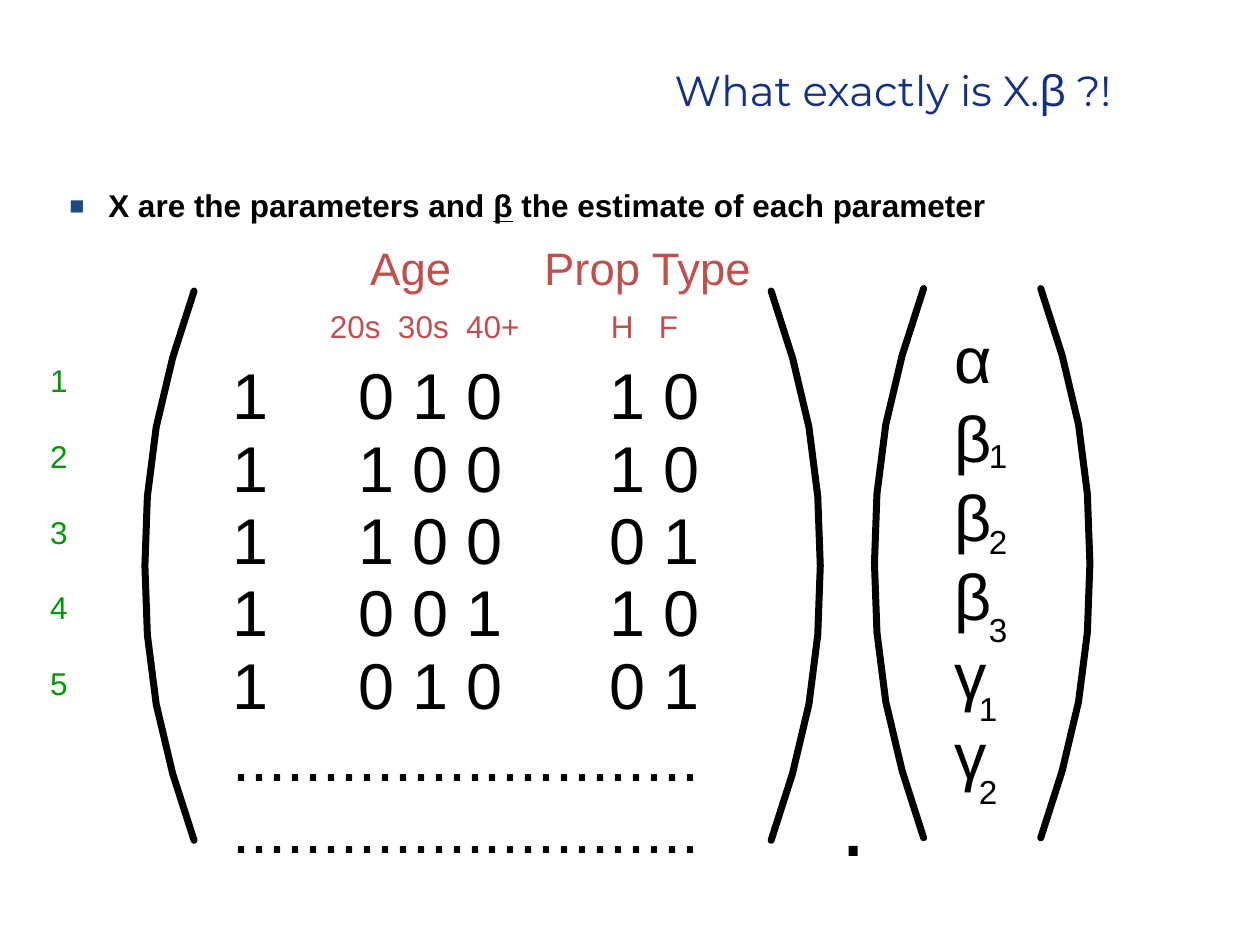
from dataclasses import dataclass

from lxml.etree import SubElement
from pptx import Presentation
from pptx.dml.color import RGBColor
from pptx.enum.shapes import MSO_SHAPE
from pptx.enum.text import MSO_ANCHOR, MSO_AUTO_SIZE, PP_ALIGN
from pptx.oxml.ns import qn
from pptx.util import Inches, Pt


@dataclass(frozen=True)
class Theme:
    font: str = "Arial"
    title_font: str = "Montserrat"
    title: str = "103184"
    ink: str = "000000"
    paper: str = "FFFFFF"
    bullet: str = "1F497D"
    heading: str = "C0504D"
    row_label: str = "009900"
    title_size: int = 24
    body_size: int = 18
    heading_size: int = 26
    entry_size: int = 37
    index_size: int = 19
    dot_size: int = 54
    bracket_width: int = 4


THEME = Theme()
ROWS = [("1", "0 1 0", "1 0"), ("1", "1 0 0", "1 0"), ("1", "1 0 0", "0 1"),
        ("1", "0 0 1", "1 0"), ("1", "0 1 0", "0 1")]
COLUMNS = [(0.6, 0.5), (1.6, 1.36), (3.59, 0.93)]  # offset, width
# Symbol, index, and index offset from the symbol
COEFFICIENTS = [("α", "", 0, 0), ("β", "1", 0.27, 0.3), ("β", "2", 0.27, 0.35),
                ("β", "3", 0.27, 0.42), ("γ", "1", 0.19, 0.42), ("γ", "2", 0.19, 0.45)]
# Distance of the bracket's points from its bulging side, and down from its top
BRACKET = [(0.39, 0), (0.22, 0.53), (0.09, 1.08), (0.02, 1.63), (0, 2.18),
           (0.02, 2.73), (0.09, 3.28), (0.22, 3.83), (0.39, 4.36)]


def style(font, size, color, name=THEME.font):
    font.size, font.name = Pt(size), name
    font.color.rgb = RGBColor.from_string(color)


def add_label(page, text, left, top, width, height, size, color=THEME.ink, tab_step=0):
    box = page.shapes.add_textbox(*map(Inches, (left, top, width, height)))
    frame = box.text_frame
    frame.word_wrap = False
    frame.auto_size = MSO_AUTO_SIZE.SHAPE_TO_FIT_TEXT
    frame.text = text
    para = frame.paragraphs[0]
    if tab_step:
        tabs = SubElement(para._p.get_or_add_pPr(), qn("a:tabLst"))
        for stop in range(1, text.count("\t") + 1):
            SubElement(tabs, qn("a:tab"), pos=str(Inches(tab_step * stop)), algn="l")
    for span in para.runs:
        style(span.font, size, color)


def add_bracket(page, left, top, opening):
    width = BRACKET[0][0]
    points = [(Inches(left + (x if opening else width - x)), Inches(top + y))
              for x, y in BRACKET]
    builder = page.shapes.build_freeform(*points[0])
    builder.add_line_segments(points[1:], close=False)
    bracket = builder.convert_to_shape()
    bracket.shadow.inherit = False
    bracket.fill.background()
    bracket.line.width = Pt(THEME.bracket_width)
    bracket.line.color.rgb = RGBColor.from_string(THEME.ink)
    line = bracket.line._get_or_add_ln()
    line.set("cap", "rnd")
    SubElement(line, qn("a:round"))


def add_title(page, left, top, width, height):
    title = page.shapes.title
    title.left, title.top, title.width, title.height = map(Inches, (left, top, width, height))
    title.text_frame.text = "What exactly is X.β ?!"
    title.text_frame.vertical_anchor = MSO_ANCHOR.MIDDLE
    para = title.text_frame.paragraphs[0]
    para.alignment = PP_ALIGN.RIGHT
    style(para.runs[0].font, THEME.title_size, THEME.title, THEME.title_font)


def add_statement(page, left, top, width, height):
    box = page.shapes.add_shape(MSO_SHAPE.RECTANGLE, *map(Inches, (left, top, width, height)))
    box.shadow.inherit = False
    box.fill.solid()
    box.fill.fore_color.rgb = RGBColor.from_string(THEME.paper)
    box.line.fill.background()
    frame = box.text_frame
    frame.word_wrap = True
    frame.vertical_anchor = MSO_ANCHOR.TOP
    frame.margin_left = frame.margin_right = frame.margin_top = frame.margin_bottom = 0
    para = frame.paragraphs[0]
    para.alignment = PP_ALIGN.LEFT
    # Square bullet with a hanging indent
    props = para._p.get_or_add_pPr()
    props.set("marL", str(Inches(0.31)))
    props.set("indent", str(-Inches(0.31)))
    SubElement(SubElement(props, qn("a:buClr")), qn("a:srgbClr"), val=THEME.bullet)
    SubElement(props, qn("a:buSzPct"), val="80000")
    SubElement(props, qn("a:buFont"), typeface=THEME.font)
    SubElement(props, qn("a:buChar"), char="■")
    for text in ("X are the parameters and ", "β", " the estimate of each parameter"):
        span = para.add_run()
        span.text = text
        style(span.font, THEME.body_size, THEME.ink)
        span.font.bold = True
        span.font.underline = text == "β"


def add_design_matrix(page, left, top, width):
    add_bracket(page, left, top, True)
    add_bracket(page, left + width - BRACKET[0][0], top, False)
    # Column headings
    add_label(page, "Age", left + 1.69, top - 0.45, 1.13, 0.46,
              THEME.heading_size, THEME.heading)
    add_label(page, "Prop Type", left + 3.07, top - 0.45, 2.27, 0.54,
              THEME.heading_size, THEME.heading)
    add_label(page, "20s\t30s\t40+", left + 1.37, top + 0.08, 1.85, 0.34,
              THEME.body_size, THEME.heading, 0.54)
    add_label(page, "H\tF", left + 3.6, top + 0.08, 0.99, 0.4,
              THEME.body_size, THEME.heading, 0.38)
    # Numbered rows
    first, pitch = top + 0.46, 0.574
    for index, row in enumerate(ROWS):
        add_label(page, str(index + 1), left - 0.85, top + 0.51 + 0.6 * index, 0.38, 0.43,
                  THEME.body_size, THEME.row_label)
        for text, (offset, span) in zip(row, COLUMNS):
            add_label(page, text, left + offset, first + pitch * index, span, 0.63,
                      THEME.entry_size)
    # Continuation dots
    for index in (len(ROWS), len(ROWS) + 1):
        add_label(page, "." * 26, left + 0.6, first + pitch * index, 3.91, 0.63,
                  THEME.entry_size)


def add_coefficients(page, left, top, width):
    add_bracket(page, left, top, True)
    add_bracket(page, left + width - BRACKET[0][0], top, False)
    for row, (symbol, index, across, down) in enumerate(COEFFICIENTS):
        x, y = left + 0.54, top + 0.19 + 0.628 * row
        add_label(page, symbol, x, y, 0.44, 0.63, THEME.entry_size)
        if index:
            add_label(page, index, x + across, y + down, 0.36, 0.37, THEME.index_size)


def main():
    deck = Presentation()
    deck.slide_width, deck.slide_height = Inches(10), Inches(7.5)
    page = deck.slides.add_slide(deck.slide_layouts[5])
    add_title(page, 1.5, 0.21, 7.42, 1)
    add_statement(page, 0.55, 1.48, 9.17, 5.39)
    add_design_matrix(page, 1.15, 2.31, 5.36)
    add_label(page, ".", 6.57, 6, 0.55, 0.87, THEME.dot_size)  # product sign
    add_coefficients(page, 6.94, 2.29, 1.71)
    deck.save("out.pptx")


if __name__ == "__main__":
    main()
